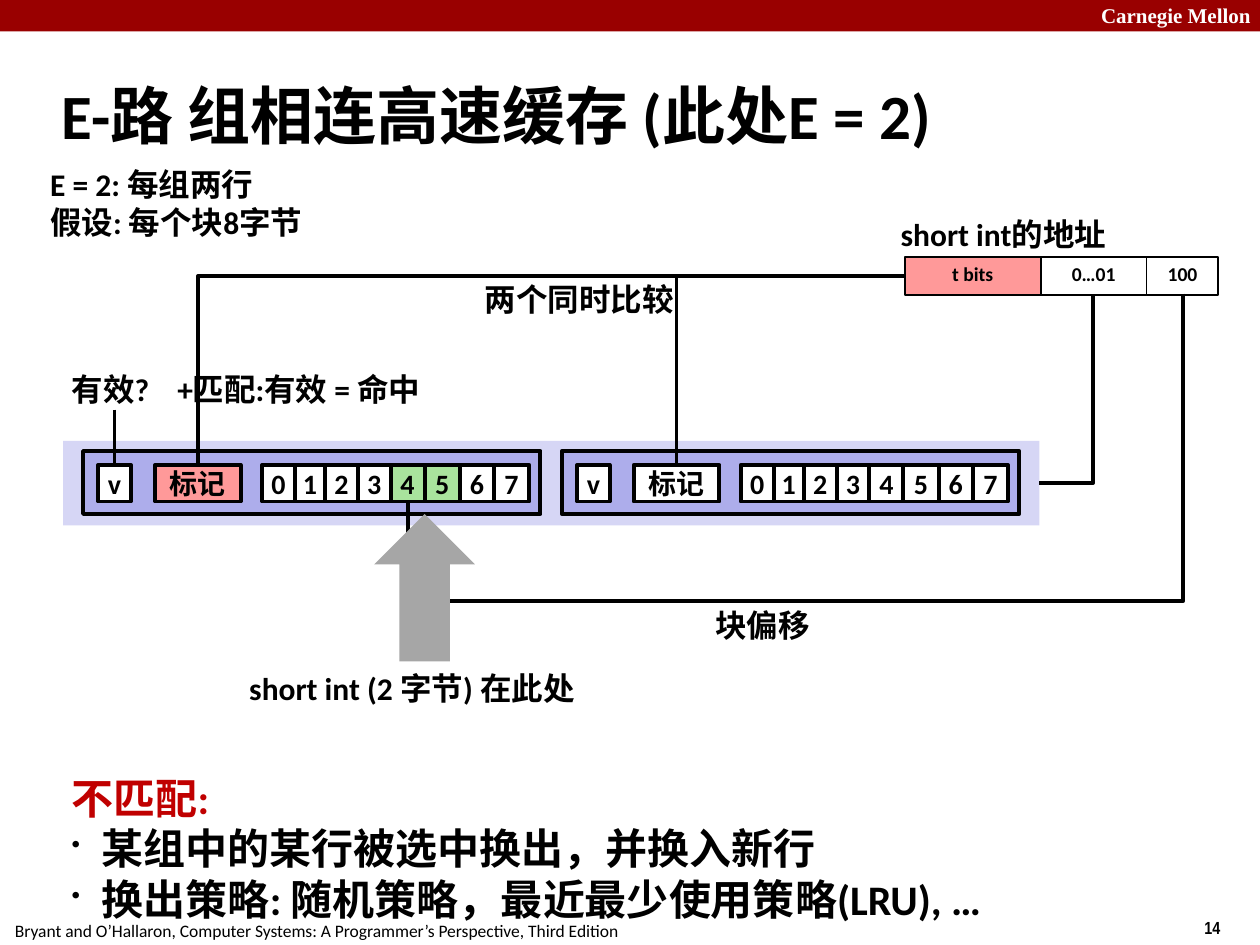
from itertools import accumulate

from lxml import etree
from pptx import Presentation
from pptx.dml.color import RGBColor
from pptx.enum.shapes import MSO_CONNECTOR, MSO_SHAPE
from pptx.enum.text import MSO_ANCHOR, MSO_AUTO_SIZE, PP_ALIGN
from pptx.oxml.ns import qn
from pptx.util import Inches, Pt

RECT, ARROW = MSO_SHAPE.RECTANGLE, MSO_SHAPE.UP_ARROW
STRAIGHT, ELBOW = MSO_CONNECTOR.STRAIGHT, MSO_CONNECTOR.ELBOW
CENTER, MIDDLE = PP_ALIGN.CENTER, MSO_ANCHOR.MIDDLE
GROW = MSO_AUTO_SIZE.SHAPE_TO_FIT_TEXT
TOP, LEFT, BOTTOM, RIGHT = range(4)

COLORS = {
    "black": "000000", "white": "FFFFFF", "banner": "990000", "alert": "C00000",
    "match": "FF9999", "set": "D6D6F5", "line": "ADADEB", "hit": "A9E39D",
    "arrow": "A6A6A6",
}

TITLE = "E-路 组相连高速缓存 (此处E = 2)"
ASSUMPTIONS = ["E = 2: 每组两行", "假设: 每个块8字节"]
MISS = "不匹配:"
MISS_POINTS = ["某组中的某行被选中换出，并换入新行",
               "换出策略: 随机策略，最近最少使用策略(LRU), …"]
BOOK = "Bryant and O’Hallaron, Computer Systems: A Programmer’s Perspective, Third Edition"
ADDRESS = [("t bits", 7.18, 1.08, "match"), ("0…01", 8.26, 0.84, "white"),
           ("100", 9.1, 0.57, "white")]
CACHE_LINES = [
    {"left": 0.66, "tag": "match", "hits": (4, 5)},
    {"left": 4.46, "tag": "white", "hits": ()},
]
BYTE_WIDTHS = [0.26, 0.24, 0.26, 0.26, 0.27, 0.28, 0.27, 0.28]
BYTE_OFFSETS = [0, *accumulate(BYTE_WIDTHS)]
LABELS = [
    ("short int的地址", 7.05, 1.66, 1.89),
    ("两个同时比较", 3.75, 2.17, 1.7),
    ("匹配:有效 = 命中", 1.43, 2.89, 2.26),
    ("块偏移", 5.58, 4.76, 0.95),
]
CELL_TOP, CELL_HEIGHT = 3.69, 0.29

prs = Presentation()
prs.slide_width, prs.slide_height = Inches(10), Inches(7.5)
slide = prs.slides.add_slide(prs.slide_layouts[6])
shapes = slide.shapes


def color(name):
    return RGBColor.from_string(COLORS[name])


def style(paragraph, size, ink="black", bold=True, face="Calibri"):
    font = paragraph.font
    font.size, font.bold, font.name = Pt(size), bold, face
    font.color.rgb = color(ink)


def block(left, top, width, height, fill, border=None, kind=RECT):
    shape = shapes.add_shape(kind, *map(Inches, (left, top, width, height)))
    shape.shadow.inherit = False
    shape.fill.solid()
    shape.fill.fore_color.rgb = color(fill)
    if border:
        shape.line.color.rgb = color("black")
        shape.line.width = Pt(border)
    else:
        shape.line.fill.background()
    return shape


def cell(text, left, top, width, height, fill, border, size, spacing=None):
    shape = block(left, top, width, height, fill, border)
    frame = shape.text_frame
    frame.word_wrap, frame.vertical_anchor = False, MIDDLE
    paragraph = frame.paragraphs[0]
    paragraph.text, paragraph.alignment = text, CENTER
    paragraph.line_spacing = spacing
    style(paragraph, size)
    return shape


def label(lines, left, top, width, height=0.4, size=18, wrap=False, **look):
    frame = shapes.add_textbox(*map(Inches, (left, top, width, height))).text_frame
    frame.word_wrap = wrap
    if not wrap:
        frame.auto_size = GROW
    frame.text = "\n".join(lines)
    for paragraph in frame.paragraphs:
        style(paragraph, size, **look)
    return frame


def finish(wire):
    wire.line.color.rgb = color("black")
    wire.line.width = Pt(2)
    etree.SubElement(wire._element.spPr, qn("a:effectLst"))


def bent(start, start_side, end, end_side, preset, box, turn, flip=False, bend=None):
    wire = shapes.add_connector(ELBOW, 0, 0, 0, 0)
    wire.begin_connect(start, start_side)
    wire.end_connect(end, end_side)
    wire.left, wire.top, wire.width, wire.height = map(Inches, box)
    props = wire._element.spPr
    frame = props.find(qn("a:xfrm"))
    for flag in ("flipH", "flipV"):
        frame.attrib.pop(flag, None)
    frame.set("rot", str(turn * 60000))
    if flip:
        frame.set("flipV", "1")
    geometry = props.find(qn("a:prstGeom"))
    geometry.set("prst", preset)
    if bend:
        guide = etree.SubElement(geometry.find(qn("a:avLst")), qn("a:gd"))
        guide.set("name", "adj1")
        guide.set("fmla", f"val {round(bend * 100000)}")
    finish(wire)


block(0, 0, 10, 0.25, "banner")
label(["Carnegie Mellon"], 8.64, -0.03, 1.43, 0.3, 12, True,
      ink="white", face="Times New Roman")
label(["14"], 9.46, 7.23, 0.75, 0.27, 10, True, face="Arial Narrow")
label([BOOK], 0.02, 7.25, 5.01, 0.27, 10, bold=False)
label([TITLE], 0.39, 0.49, 9.02, 0.83, 36, True).vertical_anchor = MIDDLE
label(ASSUMPTIONS, 0.3, 1.26, 2.44, 0.7)

tag_bits, set_bits, offset_bits = [
    cell(text, left, 2.04, width, 0.3, fill, 1, 11.2, 0.8)
    for text, left, width, fill in ADDRESS
]

cache_set = block(0.5, 3.5, 7.75, 0.67, "set")
valid_bits, tags, byte_cells = [], [], []
for cache_line in CACHE_LINES:
    left = cache_line["left"]
    block(left, 3.58, 3.63, 0.5, "line", 2.25)
    fields = [("v", 0.12, 0.26, "white", valid_bits),
              ("标记", 0.57, 0.68, cache_line["tag"], tags)]
    for number, width in enumerate(BYTE_WIDTHS):
        fill = "hit" if number in cache_line["hits"] else "white"
        fields.append((str(number), 1.42 + BYTE_OFFSETS[number], width, fill, byte_cells))
    for text, offset, width, fill, group in fields:
        group.append(cell(text, left + offset, CELL_TOP, width, CELL_HEIGHT, fill, 2.25, 16))

bent(set_bits, BOTTOM, cache_set, RIGHT, "bentConnector2", (7.71, 2.87, 1.5, 0.43), 90)
for tag, left in zip(tags, (1.57, 5.37)):
    bent(tag_bits, LEFT, tag, TOP, "bentConnector2",
         (left, 2.19, 7.18 - left, 1.5), 180, flip=True)
bent(offset_bits, BOTTOM, byte_cells[4], BOTTOM, "bentConnector3",
     (5.49, 0.08, 1.65, 6.15), 90, bend=1.48)

valid_wire = shapes.add_connector(STRAIGHT, *map(Inches, (0.91, 3.25, 0.91, CELL_TOP)))
valid_wire.end_connect(valid_bits[0], TOP)
finish(valid_wire)

for text, left, top, width in LABELS:
    label([text], left, top, width)

valid_check = label(["有效?\t+"], 0.47, 2.89, 1.17).paragraphs[0]
tab_list = etree.Element(qn("a:tabLst"))
etree.SubElement(tab_list, qn("a:tab"), pos=str(Inches(0.84)), algn="l")
valid_check._p.get_or_add_pPr().insert(0, tab_list)

block(2.97, 4.08, 0.8, 1.17, "arrow", kind=ARROW)
label(["short int (2 字节) 在此处"], 1.88, 5.26, 2.96)

miss = label([MISS, *MISS_POINTS], 0.47, 6.08, 7.49, 1.3, 24, True)
miss.paragraphs[0].font.color.rgb = color("alert")
for point in miss.paragraphs[1:]:
    props = point._p.get_or_add_pPr()
    props.set("marL", str(Inches(0.24)))
    props.set("indent", str(-Inches(0.24)))
    size, bullet = etree.Element(qn("a:buSzPct")), etree.Element(qn("a:buChar"))
    size.set("val", "60000")
    bullet.set("char", "•")
    props.insert(0, size)
    props.insert(1, bullet)

prs.save("out.pptx")
